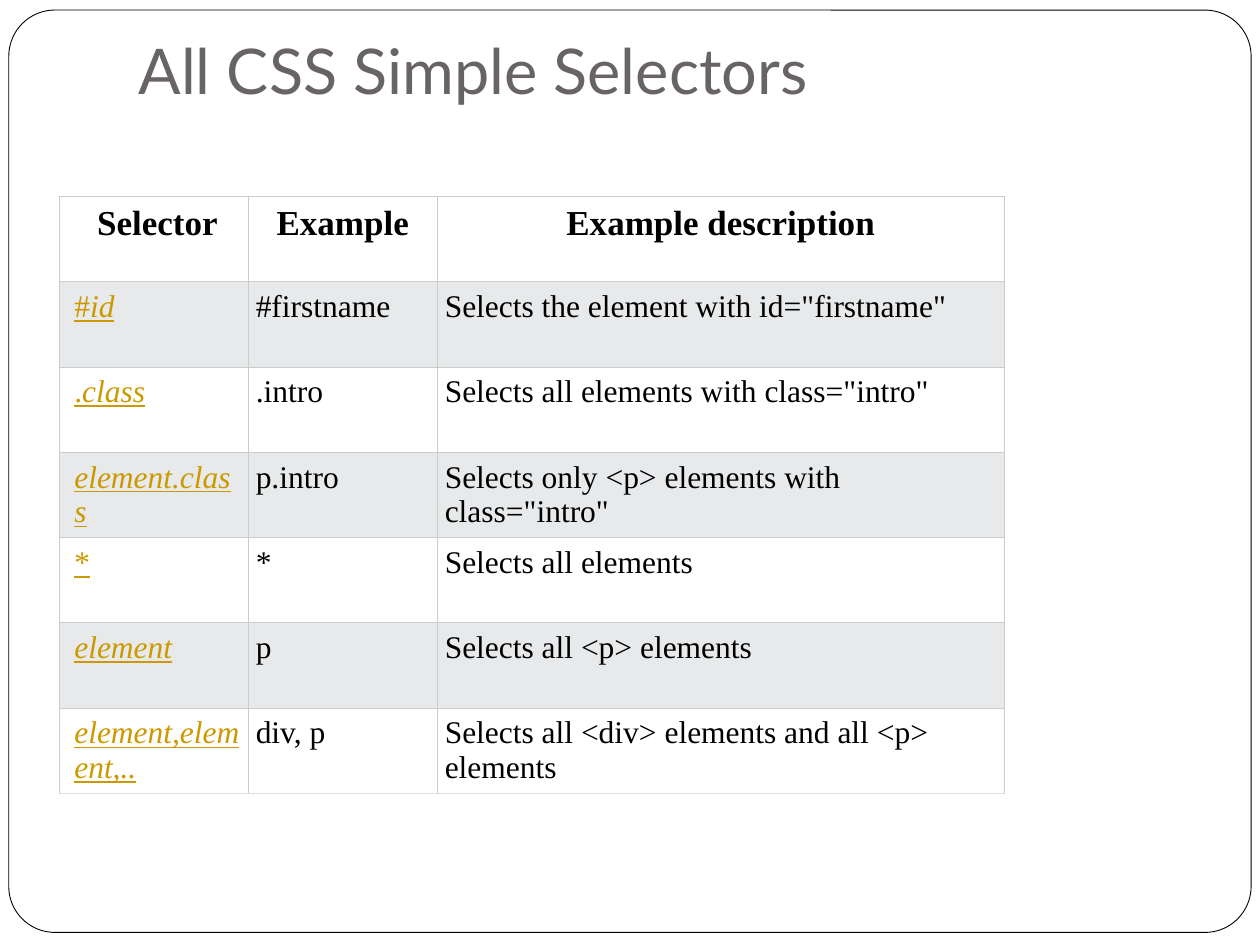
from lxml.etree import SubElement
from pptx import Presentation
from pptx.dml.color import RGBColor
from pptx.enum.shapes import MSO_SHAPE as Shape
from pptx.enum.text import MSO_ANCHOR as Anchor, MSO_AUTO_SIZE as Auto, PP_ALIGN as Align
from pptx.oxml.ns import qn
from pptx.util import Inches, Pt


def paint(part, code):
    if hasattr(part, "solid"):
        part.solid()
        part = part.fore_color
    part.rgb = RGBColor.from_string(code)


def edge(cell, side, code):
    line = SubElement(cell._tc.get_or_add_tcPr(), qn("a:ln" + side), w=str(Pt(0.75)))
    SubElement(SubElement(line, qn("a:solidFill")), qn("a:srgbClr"), val=code)


deck = Presentation()
deck.slide_width, deck.slide_height = Inches(10), Inches(7.5)
slide = deck.slides.add_slide(deck.slide_layouts[5])
shapes = slide.shapes

frame = shapes.add_shape(Shape.ROUNDED_RECTANGLE, Inches(0.07), Inches(0.08), Inches(9.86), Inches(7.32))
frame.adjustments[0] = 0.05
frame.shadow.inherit = False
paint(frame.fill, "FFFFFF")
paint(frame.line.fill, "000000")
frame.line.width = Pt(0.5)
shapes._spTree.insert(2, frame._element)

title = shapes.title
title.left, title.top, title.width, title.height = Inches(1), Inches(0.3), Inches(8.5), Inches(1.25)
box = title.text_frame
box.text = "All CSS Simple Selectors"
box.auto_size = Auto.NONE
box.vertical_anchor = Anchor.BOTTOM
box.margin_bottom = Inches(0.7)
head = box.paragraphs[0]
head.alignment = Align.LEFT
head.font.name, head.font.size = "Lato", Pt(36)
paint(head.font.color, "696464")

rows = [
    ("Selector", "Example", "Example description"),
    ("#id", "#firstname", 'Selects the element with id="firstname"'),
    (".class", ".intro", 'Selects all elements with class="intro"'),
    ("element.class", "p.intro", 'Selects only <p> elements with class="intro"'),
    ("*", "*", "Selects all elements"),
    ("element", "p", "Selects all <p> elements"),
    ("element,element,..", "div, p", "Selects all <div> elements and all <p> elements"),
]
widths = [1.5, 1.5, 4.5]
tall = 4.74 / len(rows)
table = shapes.add_table(len(rows), len(widths), Inches(0.47), Inches(1.56),
                         Inches(sum(widths)), Inches(tall * len(rows))).table
for col, width in zip(table.columns, widths):
    col.width = Inches(width)

for r, row in enumerate(rows):
    table.rows[r].height = Inches(tall)
    for c, text in enumerate(row):
        cell = table.cell(r, c)
        link = r > 0 and c == 0
        for side in "LRTB":
            edge(cell, side, "DDDDDD" if side == "B" and r == len(rows) - 1 else "CCCCCC")
        paint(cell.fill, "E7E9EB" if r % 2 else "FFFFFF")
        cell.margin_left = Inches(0.06 if c else 0.12)
        cell.margin_right = cell.margin_top = cell.margin_bottom = Inches(0.06)
        para = cell.text_frame.paragraphs[0]
        para.alignment = Align.LEFT if r else Align.CENTER
        font = para.font
        font.name, font.size, font.bold = "Times New Roman", Pt(18 if r else 20), r == 0
        paint(font.color, "CC9900" if link else "000000")
        mark = text[0] if link and text[0] in "#.*" else ""
        for part in filter(None, (mark, text[len(mark):])):
            run = para.add_run()
            run.text = part
            if link:
                run.font.underline = True
                run.font.italic = part != mark

deck.save("out.pptx")
